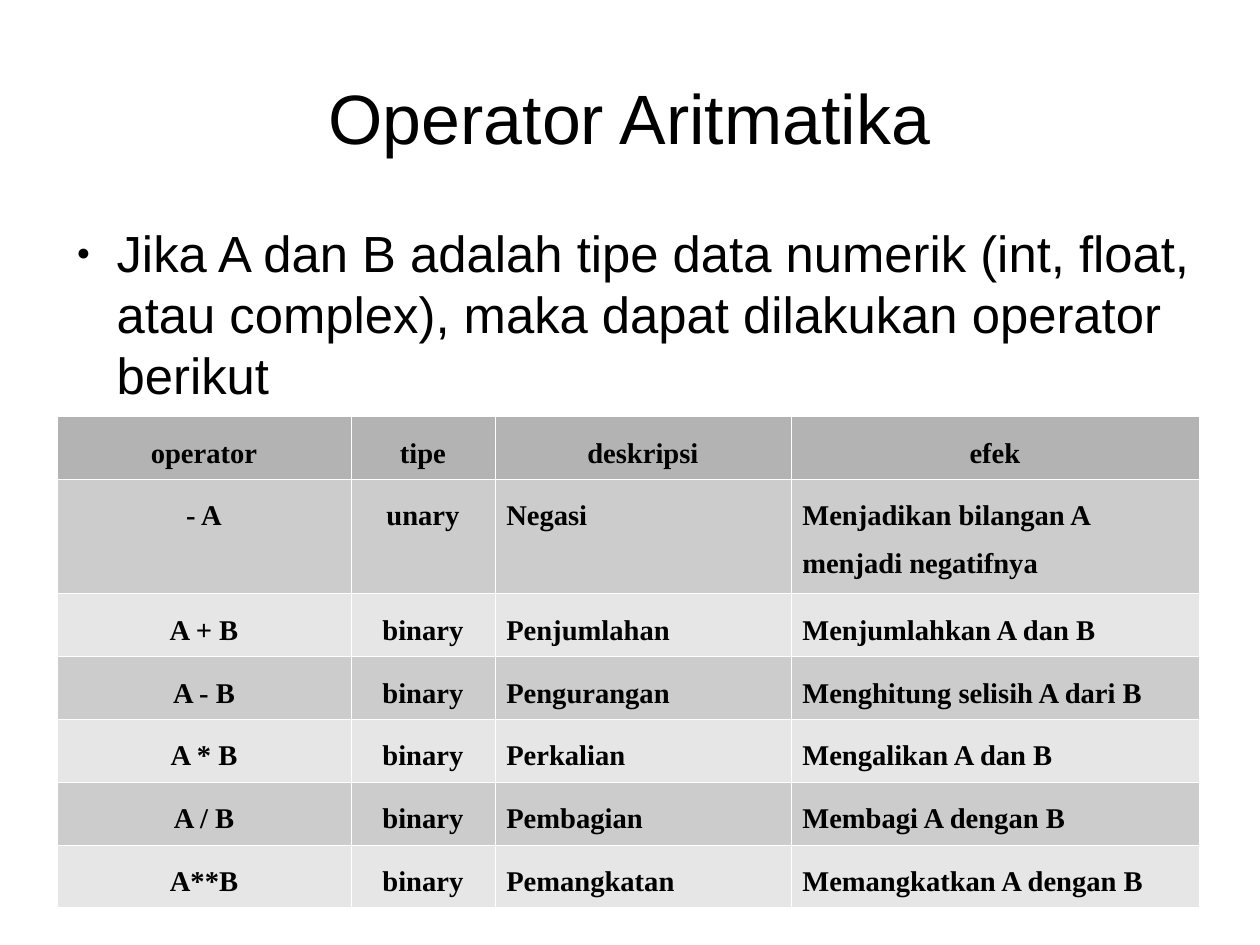
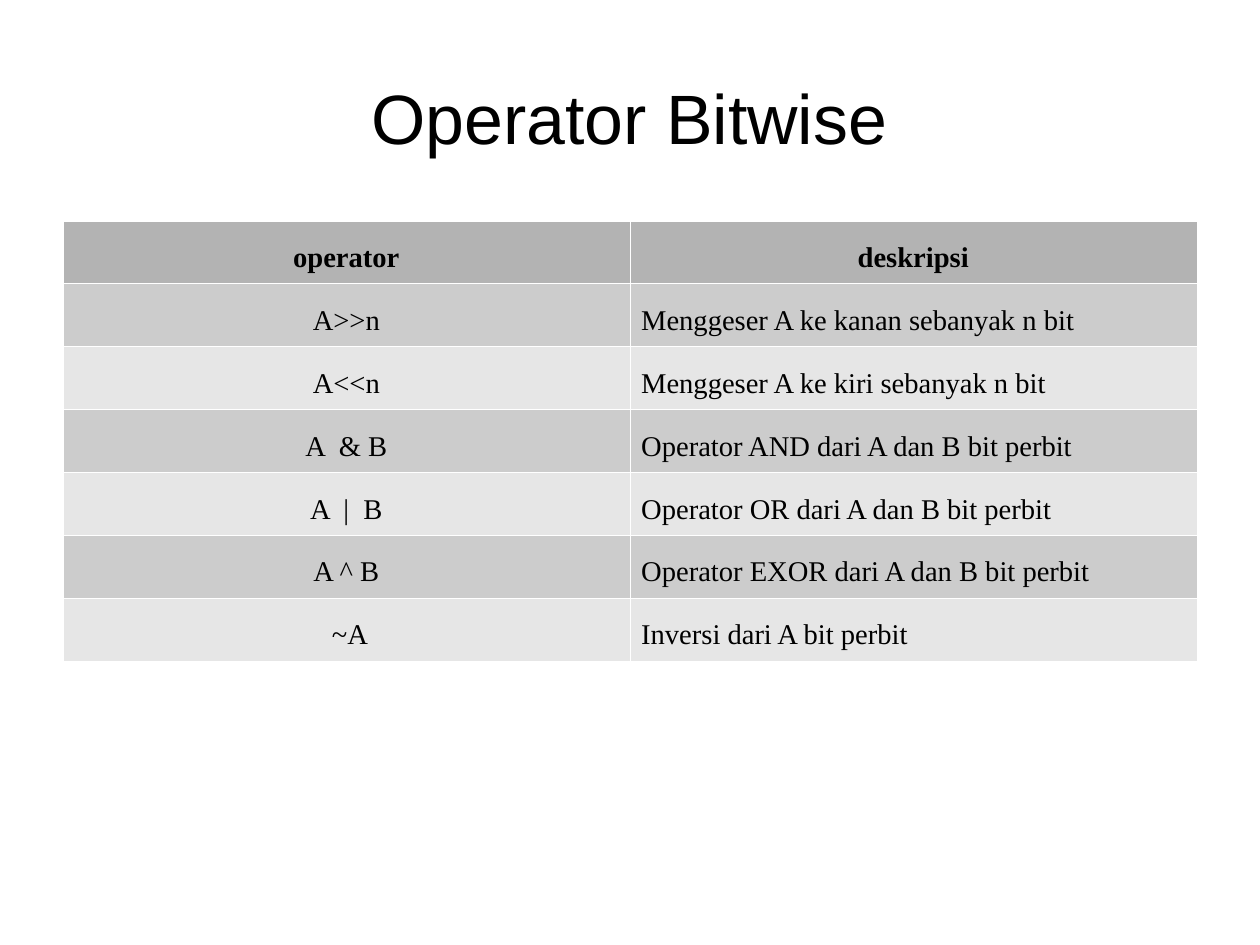
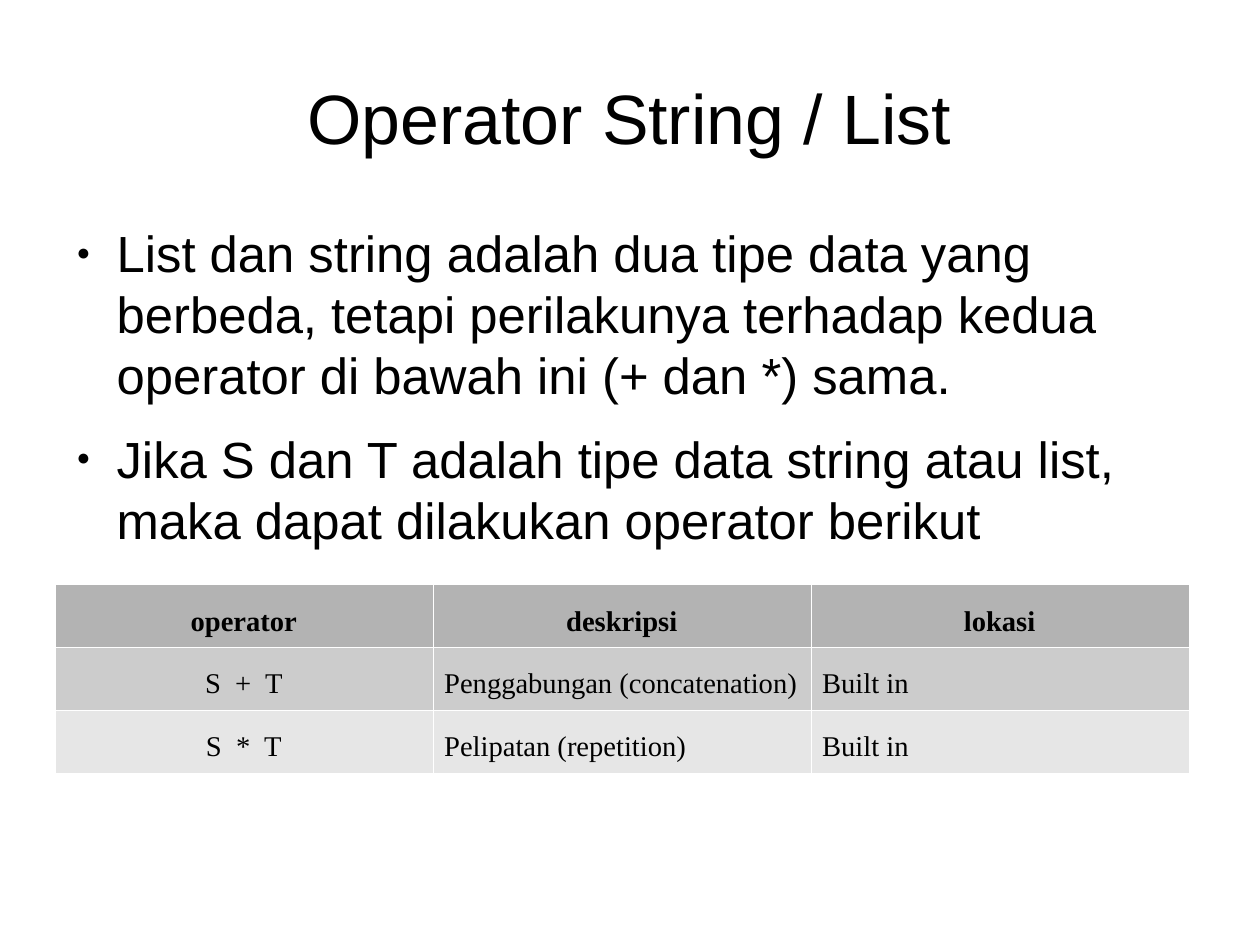
from dataclasses import dataclass

from lxml.etree import SubElement
from pptx import Presentation
from pptx.dml.color import RGBColor
from pptx.enum.text import MSO_ANCHOR, MSO_AUTO_SIZE, PP_ALIGN
from pptx.oxml import parse_xml
from pptx.oxml.ns import nsdecls, qn
from pptx.slide import Slide
from pptx.table import _Cell as Cell
from pptx.text.text import TextFrame, _Paragraph as Para
from pptx.util import Inches, Pt


# Theme and data types
@dataclass(frozen=True)
class Theme:
    sans: str = "Arial"
    serif: str = "Times New Roman"
    ink: str = "000000"
    rule: str = "FFFFFF"
    head: str = "B3B3B3"
    bands: tuple[str, str] = ("CCCCCC", "E6E6E6")
    title: float = 44
    body: float = 32
    cell: float = 18
    gap: float = 14.2
    lead: float = 1.5
    line: float = 0.06


@dataclass(frozen=True)
class Grid:
    left: float
    top: float
    cols: tuple[float, ...]
    rows: tuple[tuple[str, ...], ...]
    mid: int = 1  # leading columns that are centred
    bold: bool = False
    tall: tuple[int, ...] = ()  # rows holding two lines


@dataclass(frozen=True)
class Page:
    title: str
    grid: Grid
    points: tuple[str, ...] = ()


THEME = Theme()
LEFT, WIDE = 0.55, 9.92
ROW, TALL = 0.55, 1.0


# Text helpers
def style(para: Para, font: str, size: float, bold: bool = False) -> None:
    for run in para.runs:
        run.font.name = font
        run.font.size = Pt(size)
        run.font.bold = bold
        run.font.color.rgb = RGBColor.from_string(THEME.ink)


def clear(frame: TextFrame) -> None:
    frame.word_wrap = True
    frame.auto_size = MSO_AUTO_SIZE.NONE
    frame.margin_left = frame.margin_right = 0
    frame.margin_top = frame.margin_bottom = 0


def bullet(para: Para) -> None:
    para.space_before = Pt(THEME.gap)
    props = para._p.get_or_add_pPr()
    props.set("marL", str(Inches(0.47)))
    props.set("indent", str(Inches(-0.35)))
    tint = SubElement(props, qn("a:buClr"))
    SubElement(tint, qn("a:srgbClr"), val=THEME.ink)
    SubElement(props, qn("a:buSzPct"), val="45000")
    SubElement(props, qn("a:buFont"), typeface=THEME.sans)
    SubElement(props, qn("a:buChar"), char="●")


# Slide parts
def add_title(slide: Slide, text: str) -> None:
    shape = slide.shapes.title
    shape.left, shape.top = Inches(LEFT), Inches(0.33)
    shape.width, shape.height = Inches(WIDE), Inches(1.38)
    frame = shape.text_frame
    frame.text = text
    clear(frame)
    frame.vertical_anchor = MSO_ANCHOR.MIDDLE
    para = frame.paragraphs[0]
    para.alignment = PP_ALIGN.CENTER
    style(para, THEME.sans, THEME.title)


def add_body(slide: Slide, points: tuple[str, ...]) -> None:
    box = slide.shapes.add_textbox(
        Inches(LEFT), Inches(1.94), Inches(WIDE), Inches(4.79))
    frame = box.text_frame
    frame.text = "\n".join(points)
    clear(frame)
    for para in frame.paragraphs:
        bullet(para)
        style(para, THEME.sans, THEME.body)


def edge(cell: Cell) -> None:
    props = cell._tc.get_or_add_tcPr()
    for spot, side in enumerate("LRTB"):
        props.insert(spot, parse_xml(
            f'<a:ln{side} {nsdecls("a")} w="{Pt(THEME.line)}"><a:solidFill>'
            f'<a:srgbClr val="{THEME.rule}"/></a:solidFill></a:ln{side}>'))


def fill_cell(cell: Cell, text: str, tint: str, mid: bool, bold: bool) -> None:
    cell.fill.solid()
    cell.fill.fore_color.rgb = RGBColor.from_string(tint)
    edge(cell)
    cell.text_frame.text = text
    para = cell.text_frame.paragraphs[0]
    para.alignment = PP_ALIGN.CENTER if mid else PP_ALIGN.LEFT
    para.line_spacing = THEME.lead
    style(para, THEME.serif, THEME.cell, bold)


def add_grid(slide: Slide, grid: Grid) -> None:
    highs = [TALL if row in grid.tall else ROW for row in range(len(grid.rows))]
    table = slide.shapes.add_table(
        len(highs), len(grid.cols), Inches(grid.left), Inches(grid.top),
        Inches(sum(grid.cols)), Inches(sum(highs))).table
    table.first_row = table.horz_banding = False
    for col, width in zip(table.columns, grid.cols):
        col.width = Inches(width)
    for row, texts in enumerate(grid.rows):
        table.rows[row].height = Inches(highs[row])
        top = row == 0
        tint = THEME.head if top else THEME.bands[(row - 1) % 2]
        for col, text in enumerate(texts):
            fill_cell(table.cell(row, col), text, tint,
                      top or col < grid.mid, top or grid.bold)


# Content
PAGES = (
    Page(
        "Operator Aritmatika",
        Grid(0.5, 3.64, (2.57, 1.26, 2.59, 3.57), (
            ("operator", "tipe", "deskripsi", "efek"),
            ("- A", "unary", "Negasi", "Menjadikan bilangan A menjadi negatifnya"),
            ("A + B", "binary", "Penjumlahan", "Menjumlahkan A dan B"),
            ("A - B", "binary", "Pengurangan", "Menghitung selisih A dari B"),
            ("A * B", "binary", "Perkalian", "Mengalikan A dan B"),
            ("A / B", "binary", "Pembagian", "Membagi A dengan B"),
            ("A**B", "binary", "Pemangkatan", "Memangkatkan A dengan B"),
        ), mid=2, bold=True, tall=(1,)),
        ("Jika A dan B adalah tipe data numerik (int, float, atau complex), "
         "maka dapat dilakukan operator berikut",),
    ),
    Page(
        "Operator Bitwise",
        Grid(LEFT, 1.93, (WIDE / 2,) * 2, (
            ("operator", "deskripsi"),
            ("A>>n", "Menggeser A ke kanan sebanyak n bit"),
            ("A<<n", "Menggeser A ke kiri sebanyak n bit"),
            ("A  & B", "Operator AND dari A dan B bit perbit"),
            ("A  |  B", "Operator OR dari A dan B bit perbit"),
            ("A ^ B", "Operator EXOR dari A dan B bit perbit"),
            (" ~A", "Inversi dari A bit perbit"),
        )),
    ),
    Page(
        "Operator String / List",
        Grid(0.48, 5.11, (WIDE / 3,) * 3, (
            ("operator", "deskripsi", "lokasi"),
            ("S  +  T", "Penggabungan (concatenation)", "Built in"),
            ("S  *  T", "Pelipatan (repetition)", "Built in"),
        )),
        ("List dan string adalah dua tipe data yang berbeda, tetapi "
         "perilakunya terhadap kedua operator di bawah ini (+ dan *) sama.",
         "Jika S dan T adalah tipe data string atau list, maka dapat "
         "dilakukan operator berikut"),
    ),
)


# Build the deck on a 28 by 21 cm page
def main() -> None:
    deck = Presentation()
    deck.slide_width = Inches(28 / 2.54)
    deck.slide_height = Inches(21 / 2.54)
    for page in PAGES:
        slide = deck.slides.add_slide(deck.slide_layouts[5])
        add_title(slide, page.title)
        add_grid(slide, page.grid)
        if page.points:
            add_body(slide, page.points)
    deck.save("out.pptx")


main()
